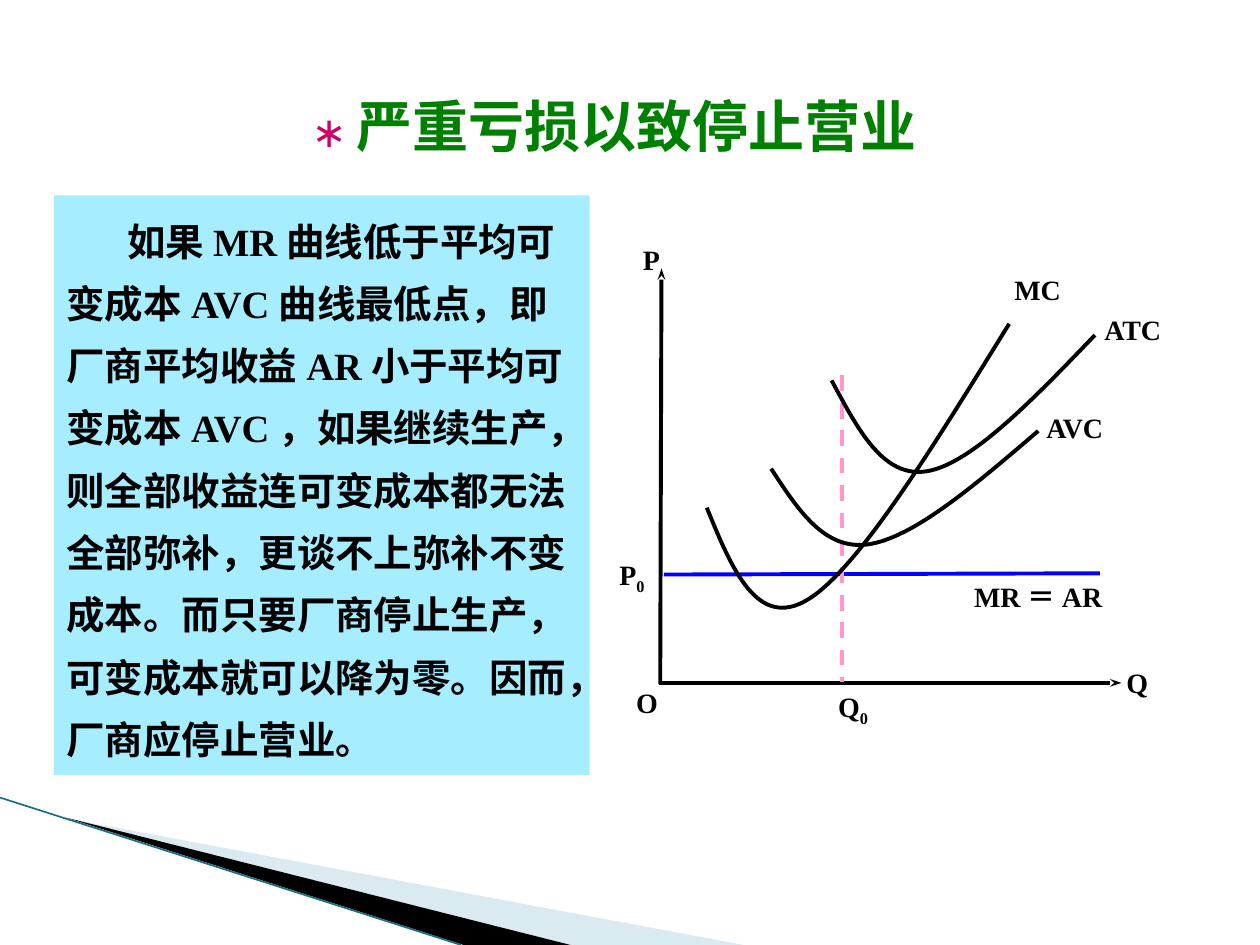
from lxml.etree import SubElement
from pptx import Presentation
from pptx.dml.color import RGBColor
from pptx.enum.dml import MSO_LINE
from pptx.enum.shapes import MSO_CONNECTOR, MSO_SHAPE
from pptx.enum.text import MSO_ANCHOR, MSO_AUTO_SIZE, PP_ALIGN
from pptx.oxml.ns import qn
from pptx.util import Inches, Pt

LATIN, HAN = "Times New Roman", "Noto Sans CJK JP"
BLACK = "000000"

TITLE_BOX = (2.2, 0.68, 5.35, 0.63)
TITLE_RUNS = [("∗ ", 24, LATIN, "CC0066", False),
              ("严重亏损以致停止营业", 32, HAN, "008000", True)]

EXPLANATION_BOX = (0.43, 1.55, 4.25, 4.6)
EXPLANATION = ("如果MR曲线低于平均可变成本AVC曲线最低点，即厂商平均收益AR小于平均可变成本AVC，"
               "如果继续生产，则全部收益连可变成本都无法全部弥补，更谈不上弥补不变成本。"
               "而只要厂商停止生产，可变成本就可以降为零。因而，厂商应停止营业。")

SWOOSHES = [
    ([(0.55, 6.5), (5.9, 7.5), (4.53, 7.5)], "A0CBDC", 40),
    ([(0.53, 6.49), (4.53, 7.5), (3.68, 7.5)], BLACK, 100),
]
SWOOSH_EDGE = ((0, 6.33), (3.66, 7.5), "1B6F84", 0.95)

AXES = [((5.24, 5.43), (5.25, 2.13)), ((5.23, 5.42), (8.9, 5.42))]
REVENUE_LINE = ((5.27, 4.56), (8.73, 4.55), "0000FF")
OUTPUT_LINE = ((6.68, 2.98), (6.68, 5.41), "FF99CC")

COST_CURVES = {
    "MC": [(5.61, 4.03), (5.81, 4.52), (6.01, 5), (6.41, 4.76),
           (6.81, 4.52), (7.41, 3.54), (8.01, 2.57)],
    "ATC": [(6.6, 3.02), (6.81, 3.41), (7.01, 3.8), (7.36, 3.74),
            (7.71, 3.68), (8.2, 3.17), (8.69, 2.66)],
    "AVC": [(6.12, 3.72), (6.33, 4.04), (6.54, 4.37), (6.89, 4.32),
            (7.25, 4.27), (7.75, 3.84), (8.24, 3.42)],
}

LABELS = [
    ("Q", "", (8.67, 5.23, 0.71, 0.57)),
    ("O", "", (4.84, 5.39, 0.59, 0.55)),
    ("P", "", (4.84, 1.88, 0.66, 0.53)),
    ("P", "0", (4.69, 4.38, 0.65, 0.53)),
    ("Q", "0", (6.29, 5.42, 0.96, 0.51)),
    ("MC", "", (7.78, 2.11, 0.91, 0.31)),
    ("ATC", "", (8.65, 2.43, 0.68, 0.32)),
    ("AVC", "", (8.1, 3.21, 0.86, 0.32)),
    ("MR＝AR", "", (7.44, 4.55, 1.6, 0.48)),
]


def paint(color_format, hex_color):
    color_format.rgb = RGBColor.from_string(hex_color)


def inches(values):
    return [Inches(value) for value in values]


def fill_shape(shape, color, opacity):
    shape.shadow.inherit = False
    shape.line.fill.background()
    shape.fill.solid()
    paint(shape.fill.fore_color, color)
    if opacity < 100:
        srgb = shape.fill._xPr.find(".//" + qn("a:srgbClr"))
        SubElement(srgb, qn("a:alpha"), val=str(opacity * 1000))


def add_run(paragraph, text, size, font, color, bold=True):
    run = paragraph.add_run()
    run.text = text
    run.font.size, run.font.name, run.font.bold = Pt(size), font, bold
    paint(run.font.color, color)
    SubElement(run._r.get_or_add_rPr(), qn("a:ea"), typeface=HAN)
    return run


def prepare_frame(shape, align):
    frame = shape.text_frame
    frame.word_wrap = True
    frame.auto_size = MSO_AUTO_SIZE.NONE
    frame.vertical_anchor = MSO_ANCHOR.TOP
    paragraph = frame.paragraphs[0]
    paragraph.alignment = align
    return paragraph


def add_line(slide, start, end, color, width=2.25):
    line = slide.shapes.add_connector(MSO_CONNECTOR.STRAIGHT, *inches(start + end))
    SubElement(line._element.spPr, qn("a:effectLst"))
    line.line.width = Pt(width)
    paint(line.line.color, color)
    return line


def add_outline(slide, points, close):
    first, *rest = [inches(point) for point in points]
    builder = slide.shapes.build_freeform(*first)
    builder.add_line_segments(rest, close=close)
    return builder.convert_to_shape()


def bend_segments(outline):
    drawn = outline._element.spPr.find(".//" + qn("a:path"))
    segments = drawn.findall(qn("a:lnTo"))
    for i in range(0, len(segments), 3):
        bend = SubElement(drawn, qn("a:cubicBezTo"))
        for segment in segments[i:i + 3]:
            bend.append(segment[0])
            drawn.remove(segment)


def add_curve(slide, controls):
    curve = add_outline(slide, controls, close=False)
    bend_segments(curve)
    curve.shadow.inherit = False
    curve.fill.background()
    curve.line.width = Pt(2.25)
    paint(curve.line.color, BLACK)


def add_label(slide, text, subscript, box):
    label = slide.shapes.add_textbox(*inches(box))
    paragraph = prepare_frame(label, PP_ALIGN.CENTER)
    add_run(paragraph, text, 16, LATIN, BLACK)
    if subscript:
        lowered = add_run(paragraph, subscript, 16, LATIN, BLACK)
        lowered.font._element.set("baseline", "-25000")


def add_title(slide):
    title = slide.shapes.title
    title.left, title.top, title.width, title.height = inches(TITLE_BOX)
    paragraph = prepare_frame(title, PP_ALIGN.CENTER)
    for run in TITLE_RUNS:
        add_run(paragraph, *run)


def add_explanation(slide):
    panel = slide.shapes.add_shape(MSO_SHAPE.RECTANGLE, *inches(EXPLANATION_BOX))
    fill_shape(panel, "00CCFF", 35)
    paragraph = prepare_frame(panel, PP_ALIGN.LEFT)
    paragraph.line_spacing = 1.35
    paragraph._p.get_or_add_pPr().set("indent", str(Inches(0.48)))
    add_run(paragraph, EXPLANATION, 22, LATIN, BLACK)


def add_diagram(slide):
    for start, end in AXES:
        axis = add_line(slide, start, end, BLACK)
        SubElement(axis.line._get_or_add_ln(), qn("a:tailEnd"), type="stealth", w="sm")
    add_line(slide, *REVENUE_LINE)
    add_line(slide, *OUTPUT_LINE).line.dash_style = MSO_LINE.DASH
    for controls in COST_CURVES.values():
        add_curve(slide, controls)
    for label in LABELS:
        add_label(slide, *label)


def main():
    deck = Presentation()
    deck.slide_width, deck.slide_height = Inches(10), Inches(7.5)
    slide = deck.slides.add_slide(deck.slide_layouts[5])
    for points, color, opacity in SWOOSHES:
        fill_shape(add_outline(slide, points, close=True), color, opacity)
    add_line(slide, *SWOOSH_EDGE)
    add_title(slide)
    add_diagram(slide)
    add_explanation(slide)
    deck.save("out.pptx")


if __name__ == "__main__":
    main()
